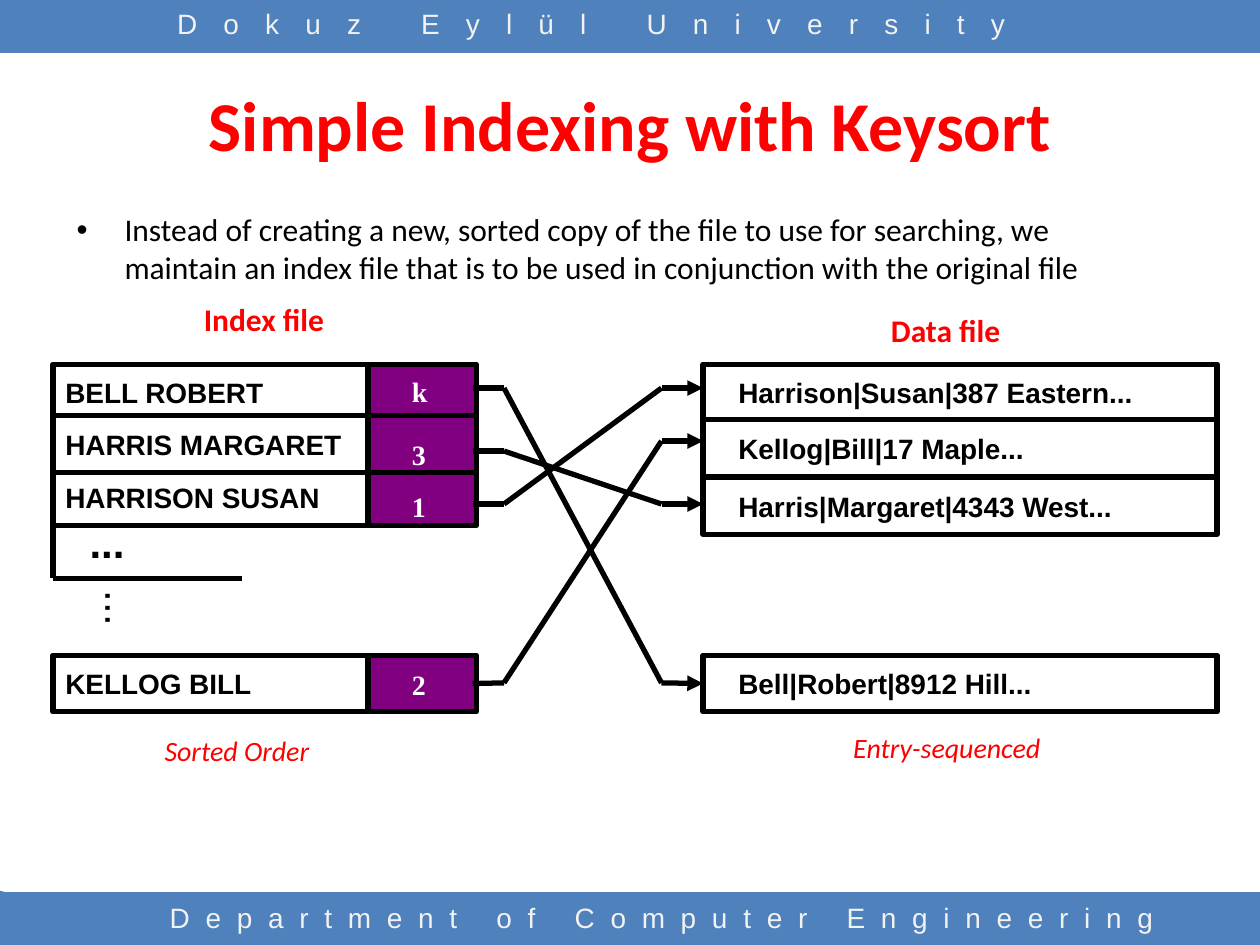
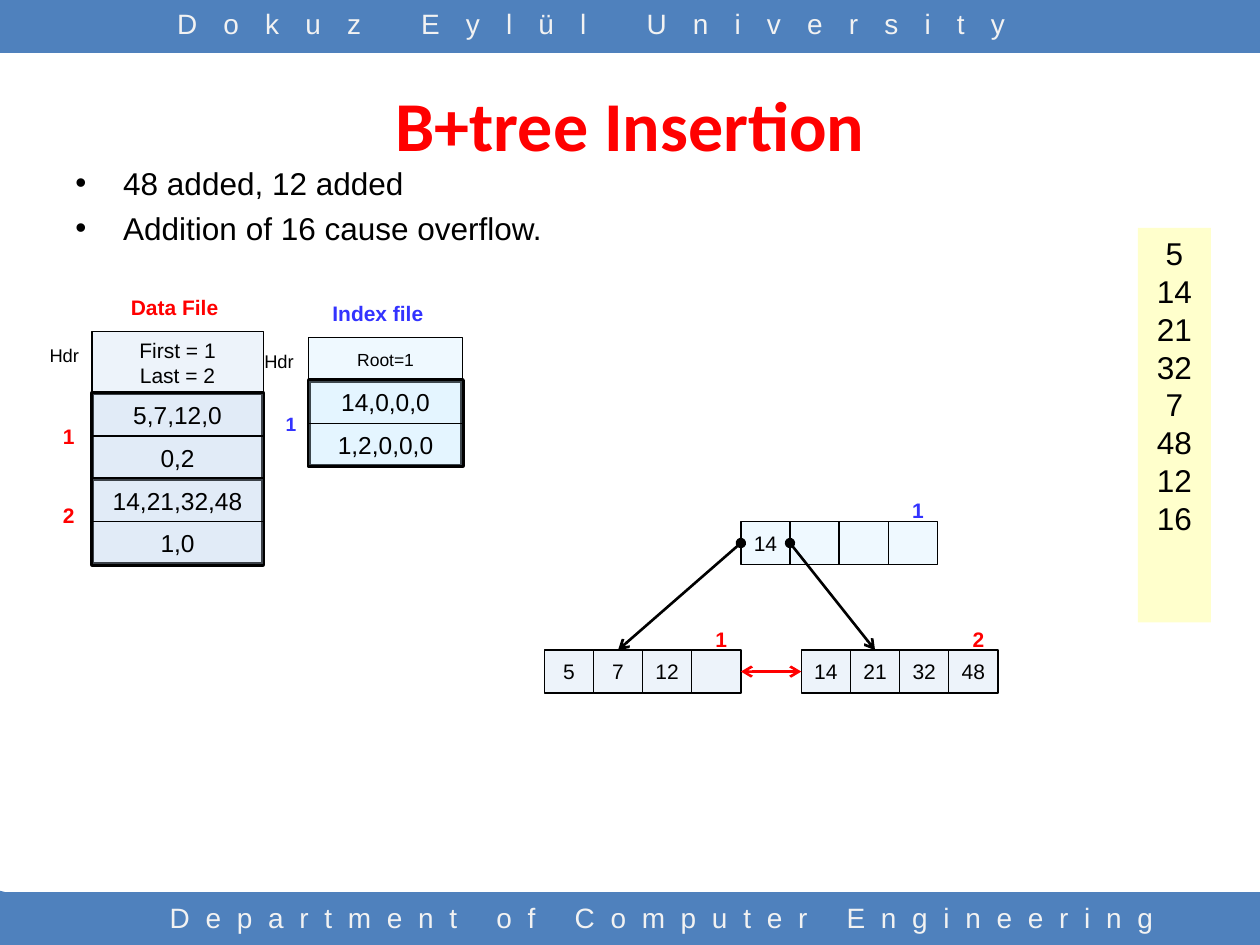
from dataclasses import dataclass, replace
from typing import NamedTuple, Optional, Sequence

import pptx
import pptx.dml.color
import pptx.enum.shapes
import pptx.enum.text
import pptx.oxml.ns
import pptx.oxml.xmlchemy
import pptx.util
from lxml import etree
from pptx.dml.color import RGBColor
from pptx.util import Inches

BLUE_BAND = RGBColor(0x4F, 0x81, 0xBD)
BAND_TEXT = RGBColor(0xF2, 0xF2, 0xF2)
RED = RGBColor(0xFF, 0x00, 0x00)
BLACK = RGBColor(0x00, 0x00, 0x00)
WHITE = RGBColor(0xFF, 0xFF, 0xFF)
PURPLE = RGBColor(0x80, 0x00, 0x80)
INDEX_BLUE = RGBColor(0x33, 0x33, 0xFF)
DATA_FILL = RGBColor(0xC6, 0xD9, 0xF1)
INDEX_FILL = RGBColor(0xCC, 0xEC, 0xFF)
YELLOW = RGBColor(0xFF, 0xFF, 0xCC)

LEFT = pptx.enum.text.PP_ALIGN.LEFT
CENTER = pptx.enum.text.PP_ALIGN.CENTER
RIGHT = pptx.enum.text.PP_ALIGN.RIGHT
TOP = pptx.enum.text.MSO_ANCHOR.TOP
MIDDLE = pptx.enum.text.MSO_ANCHOR.MIDDLE
SIDE_LEFT, SIDE_RIGHT, SIDE_TOP = 1, 3, 0


class Area(NamedTuple):
    left: float
    top: float
    width: float
    height: float


class Point(NamedTuple):
    x: float
    y: float


@dataclass(frozen=True)
class TextStyle:
    size: float
    font: str = "Arial"
    color: RGBColor = BLACK
    bold: bool = False
    italic: bool = False
    align: int = CENTER
    anchor: int = MIDDLE
    wrap: bool = True
    spacing: int = 0
    bullet: bool = False
    inset: float = 0.1


@dataclass(frozen=True)
class BoxStyle:
    fill: RGBColor
    line_width: float = 0
    opacity: int = 100


class Label(NamedTuple):
    text: str
    area: Area
    style: TextStyle


class Record(NamedTuple):
    top: float
    keys: str
    links: str


class Node(NamedTuple):
    left: float
    top: float
    keys: Sequence[str]
    number: str
    number_color: RGBColor
    fill: RGBColor


TITLE = TextStyle(40, "Calibri", RED, bold=True)
FILE_NAME = TextStyle(18, "Calibri", RED, bold=True, wrap=False)
ORDER_NOTE = TextStyle(16, "Calibri", RED, italic=True, wrap=False)
KEY = TextStyle(16, bold=True, align=LEFT, wrap=False)
DATA_ROW = replace(KEY, inset=0.28)
POINTER = TextStyle(16, "Times New Roman", WHITE, bold=True, wrap=False)
BULLETS = TextStyle(18, align=LEFT, anchor=TOP, bullet=True)
RED_LABEL = TextStyle(12, color=RED, bold=True, align=LEFT, anchor=TOP, wrap=False)
BLUE_LABEL = replace(RED_LABEL, color=INDEX_BLUE)
HEADER_LABEL = TextStyle(10.5, anchor=TOP, wrap=False)


def add_element(parent, tag: str, **attributes: str):
    element = etree.SubElement(parent, pptx.oxml.ns.qn(tag))
    for name, value in attributes.items():
        element.set(name, value)
    return element


def write_text(shape, lines: Sequence[str], style: TextStyle) -> None:
    frame = shape.text_frame
    frame.word_wrap = style.wrap
    frame.vertical_anchor = style.anchor
    frame.margin_left = Inches(style.inset)
    for number, line in enumerate(lines):
        para = frame.add_paragraph() if number else frame.paragraphs[0]
        para.alignment = style.align
        if style.bullet:
            if number:
                para.space_before = pptx.util.Pt(4.3)
            properties = para._p.get_or_add_pPr()
            properties.set("marL", str(Inches(0.38)))
            properties.set("indent", str(-Inches(0.38)))
            add_element(properties, "a:buFont", typeface="Arial")
            add_element(properties, "a:buChar", char="•")
        span = para.add_run()
        span.text = line
        span.font.name = style.font
        span.font.size = pptx.util.Pt(style.size)
        span.font.bold = style.bold
        span.font.italic = style.italic
        span.font.color.rgb = style.color
        if style.spacing:
            span._r.get_or_add_rPr().set("spc", str(style.spacing * 100))


def add_label(page, area: Area, lines: Sequence[str], style: TextStyle):
    box = page.shapes.add_textbox(*map(Inches, area))
    write_text(box, lines, style)
    return box


def paint(shape, style: BoxStyle) -> None:
    shape.shadow.inherit = False
    shape.fill.solid()
    shape.fill.fore_color.rgb = style.fill
    if style.opacity < 100:
        color = shape._element.spPr.find(".//" + pptx.oxml.ns.qn("a:srgbClr"))
        add_element(color, "a:alpha", val=str(style.opacity * 1000))
    if style.line_width:
        shape.line.color.rgb = BLACK
        shape.line.width = pptx.util.Pt(style.line_width)
    else:
        shape.line.fill.background()


def add_box(page, area: Area, style: BoxStyle, lines: Sequence[str] = (),
            text_style: TextStyle = KEY):
    box = page.shapes.add_shape(pptx.enum.shapes.MSO_SHAPE.RECTANGLE, *map(Inches, area))
    paint(box, style)
    write_text(box, lines, text_style)
    return box


def add_line(page, start: Point, end: Point, width: float = 3, color: RGBColor = BLACK,
             head: Optional[str] = None, tail: Optional[str] = None):
    line = page.shapes.add_connector(pptx.enum.shapes.MSO_CONNECTOR.STRAIGHT,
                                     *map(Inches, (*start, *end)))
    line.line.color.rgb = color
    line.line.width = pptx.util.Pt(width)
    outline = line.line._get_or_add_ln()
    for tag, kind in (("a:headEnd", head), ("a:tailEnd", tail)):
        if kind:
            add_element(outline, tag, type=kind)
    add_element(line._element.spPr, "a:effectLst")
    return line


def add_page(deck, title: str):
    """Add a slide with the two bands, the bottom corners and a title."""
    page = deck.slides.add_slide(deck.slide_layouts[6])
    band = BoxStyle(BLUE_BAND)
    for top in (0, 7.08):
        add_box(page, Area(0, top, 10, 0.42), band)
    corners = (
        (Point(0.88, 7.09), Point(0.92, 7.09), Point(0.92, 7.5), Point(0.47, 7.5)),
        (Point(0, 7.07), Point(0.04, 7.08), Point(0.46, 7.5), Point(0, 7.5)),
    )
    for first, *others in corners:
        outline = page.shapes.build_freeform(*map(Inches, first), scale=1.0)
        outline.add_line_segments([tuple(map(Inches, point)) for point in others])
        paint(outline.convert_to_shape(), band)
    band_text = TextStyle(16, color=BAND_TEXT, anchor=TOP)
    add_label(page, Area(0.92, 7.1, 8.67, 0.4), ["Department of Computer Engineering"],
              replace(band_text, spacing=9))
    add_label(page, Area(0.65, 0, 8.09, 0.42), ["Dokuz Eylül University"],
              replace(band_text, spacing=15))
    add_label(page, Area(0.5, 0.41, 9, 1.14), [title], TITLE)
    return page


def add_keysort_page(deck) -> None:
    page = add_page(deck, "Simple Indexing with Keysort")
    add_label(page, Area(0.51, 1.62, 8.82, 1), [
        "Instead of creating a new, sorted copy of the file to use for searching, we "
        "maintain an index file that is to be used in conjunction with the original file"],
        replace(BULLETS, font="Calibri"))

    row_height = 0.45
    white, purple = BoxStyle(WHITE, 3), BoxStyle(PURPLE, 3)
    keys = {"HARRISON SUSAN": 3.72, "BELL ROBERT": 2.89, "HARRIS MARGARET": 3.3,
            "KELLOG BILL": 5.2}
    key_boxes = [add_box(page, Area(0.42, top, 3.33, row_height), white, [key], KEY)
                 for key, top in keys.items()]
    for top in keys.values():
        add_box(page, Area(2.92, top, 0.86, row_height), purple)
    rows = {"Harrison|Susan|387 Eastern...": 2.89, "Kellog|Bill|17 Maple...": 3.33,
            "Harris|Margaret|4343 West...": 3.79, "Bell|Robert|8912 Hill...": 5.2}
    row_boxes = [add_box(page, Area(5.58, top, 4.08, row_height), white, [row], DATA_ROW)
                 for row, top in rows.items()]

    corner = Point(0.42, 4.59)
    add_line(page, Point(0.42, 4.14), corner)
    add_line(page, corner, Point(1.92, 4.59))
    dots = TextStyle(24, wrap=False)
    add_label(page, Area(0.45, 4.05, 0.8, 0.5), ["..."], replace(dots, bold=True))
    column = add_label(page, Area(0.67, 4.59, 0.6, 0.7), ["..."], dots)
    column.text_frame._txBody.bodyPr.set("vert", "eaVert")

    for pointer, top in (("1", 3.83), ("2", 5.25), ("k", 2.92), ("3", 3.42)):
        add_label(page, Area(3.17, top, 0.31, 0.37), [pointer], POINTER)

    for key_y, row_y in ((3.08, 5.42), (3.58, 4), (4, 3.08), (5.42, 3.5)):
        bend_out, bend_in = Point(4, key_y), Point(5.25, row_y)
        stub = add_line(page, Point(3.75, key_y), bend_out)
        add_line(page, bend_out, bend_in)
        arrow = add_line(page, bend_in, Point(5.58, row_y), tail="triangle")
        if key_y == 5.42:
            stub.begin_connect(key_boxes[-1], SIDE_RIGHT)
        if row_y == 5.42:
            arrow.end_connect(row_boxes[-1], SIDE_LEFT)

    for label in (
        Label("Index file", Area(1.51, 2.33, 1.17, 0.4), FILE_NAME),
        Label("Data file", Area(6.96, 2.42, 1.09, 0.4), FILE_NAME),
        Label("Sorted Order", Area(1.17, 5.77, 1.42, 0.37), ORDER_NOTE),
        Label("Entry-sequenced", Area(6.63, 5.75, 1.77, 0.37), ORDER_NOTE),
    ):
        add_label(page, label.area, [label.text], label.style)


def add_file(page, header: Area, header_lines: Sequence[str], header_size: float,
             fill: RGBColor, records: Sequence[Record]) -> None:
    """Draw a header box and, under it, two-line records in thick frames."""
    height = 0.34
    thin, thick = BoxStyle(fill, 0.75, 30), BoxStyle(fill, 2.5, 30)
    add_box(page, header, thin, header_lines, TextStyle(header_size))
    for record in records:
        frame = Area(header.left, record.top, header.width, 2 * height)
        add_box(page, frame, thick)
        for offset, text in ((height, record.links), (0, record.keys)):
            cell = frame._replace(top=record.top + offset, height=height)
            add_box(page, cell, thin, [text], TextStyle(14))


def add_node(page, node: Node) -> list:
    pitch = 0.39
    cells = [add_box(page, Area(node.left + place * pitch, node.top, pitch, 0.34),
                     BoxStyle(node.fill, 0.75, 30), [key] if key else [], TextStyle(12))
             for place, key in enumerate(node.keys)]
    add_label(page, Area(node.left + 1.26, node.top - 0.24, 0.29, 0.3), [node.number],
              replace(RED_LABEL, color=node.number_color))
    return cells


def add_insertion_page(deck) -> None:
    page = add_page(deck, "B+tree Insertion")
    add_box(page, Area(9.03, 1.81, 0.58, 3.13), BoxStyle(YELLOW),
            ["5", "14", "21", "32", "7", "48", "12", "16"], TextStyle(18, anchor=TOP))
    add_label(page, Area(0.5, 1.25, 4.23, 1.22),
              ["48 added, 12 added", "Addition of 16 cause overflow."], BULLETS)

    add_file(page, Area(0.73, 2.63, 1.36, 0.49), ["First = 1", "Last = 2"], 12, DATA_FILL,
             [Record(3.12, "5,7,12,0", "0,2"), Record(3.8, "14,21,32,48", "1,0")])
    add_file(page, Area(2.45, 2.68, 1.22, 0.34), ["Root=1"], 10, INDEX_FILL,
             [Record(3.02, "14,0,0,0", "1,2,0,0,0")])
    for label in (
        Label("Data File", Area(0.94, 2.29, 1.01, 0.3), RED_LABEL),
        Label("Hdr", Area(0.24, 2.68, 0.54, 0.28), HEADER_LABEL),
        Label("1", Area(0.4, 3.31, 0.27, 0.3), RED_LABEL),
        Label("2", Area(0.4, 3.94, 0.27, 0.3), RED_LABEL),
        Label("Index file", Area(2.54, 2.34, 0.93, 0.3), BLUE_LABEL),
        Label("Hdr", Area(1.99, 2.73, 0.44, 0.28), replace(HEADER_LABEL, align=RIGHT)),
        Label("1", Area(2.16, 3.22, 0.29, 0.29), replace(BLUE_LABEL, size=11, align=RIGHT)),
    ):
        add_label(page, label.area, [label.text], label.style)

    first_leaf, second_leaf, root = (add_node(page, node) for node in (
        Node(4.32, 5.16, ("5", "7", "12", ""), "1", RED, DATA_FILL),
        Node(6.36, 5.16, ("14", "21", "32", "48"), "2", RED, DATA_FILL),
        Node(5.88, 4.14, ("14", "", "", ""), "1", INDEX_BLUE, INDEX_FILL),
    ))
    origin = Point(0, 0)
    for source, source_side, target, target_side, color, head in (
        (first_leaf[3], SIDE_RIGHT, second_leaf[0], SIDE_LEFT, RED, "arrow"),
        (root[0], SIDE_LEFT, first_leaf[1], SIDE_TOP, BLACK, "oval"),
        (root[0], SIDE_RIGHT, second_leaf[1], SIDE_TOP, BLACK, "oval"),
    ):
        link = add_line(page, origin, origin, 1.5, color, head, "arrow")
        link.begin_connect(source, source_side)
        link.end_connect(target, target_side)


def main() -> None:
    deck = pptx.Presentation()
    deck.slide_width, deck.slide_height = Inches(10), Inches(7.5)
    add_keysort_page(deck)
    add_insertion_page(deck)
    deck.save("out.pptx")


if __name__ == "__main__":
    main()
